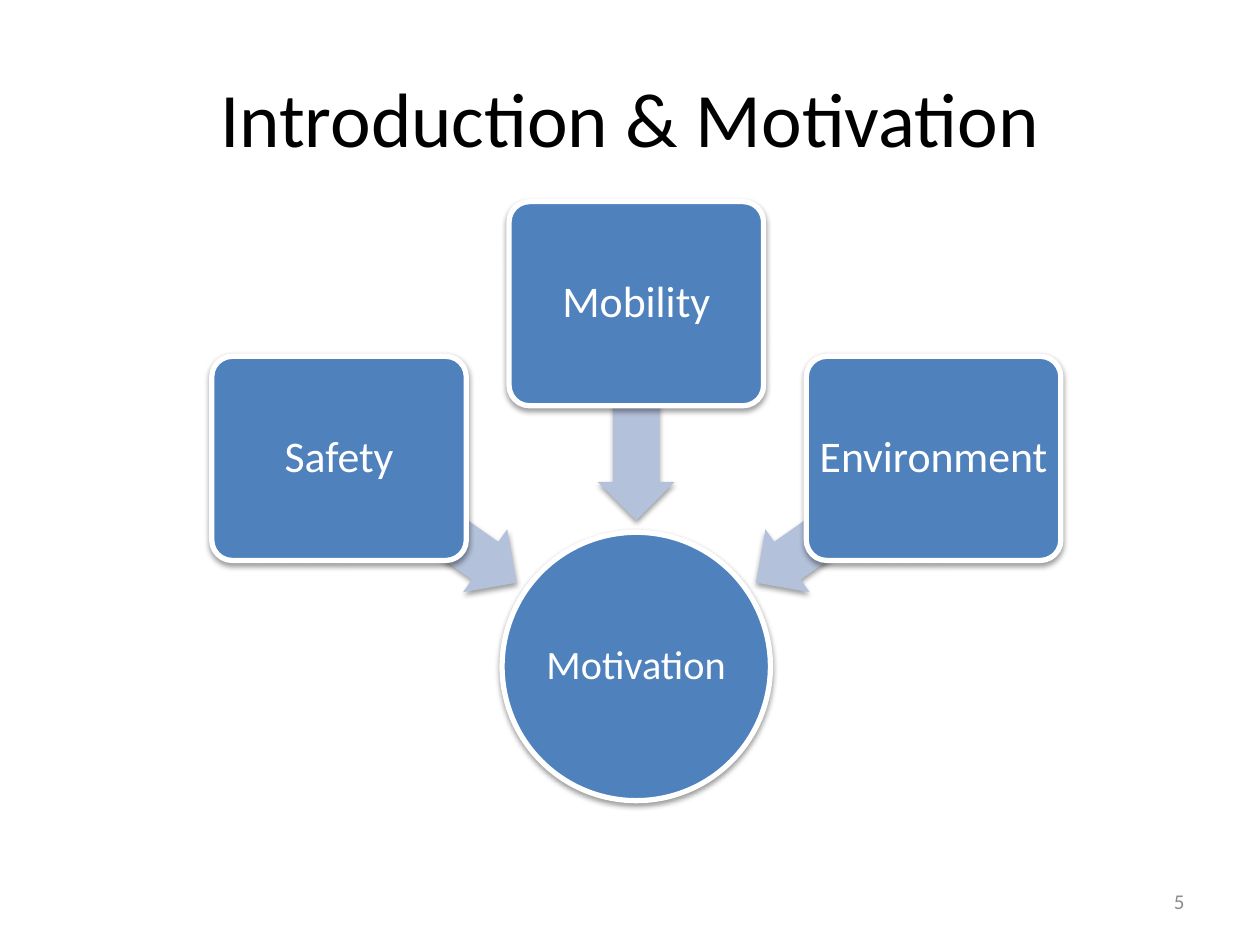
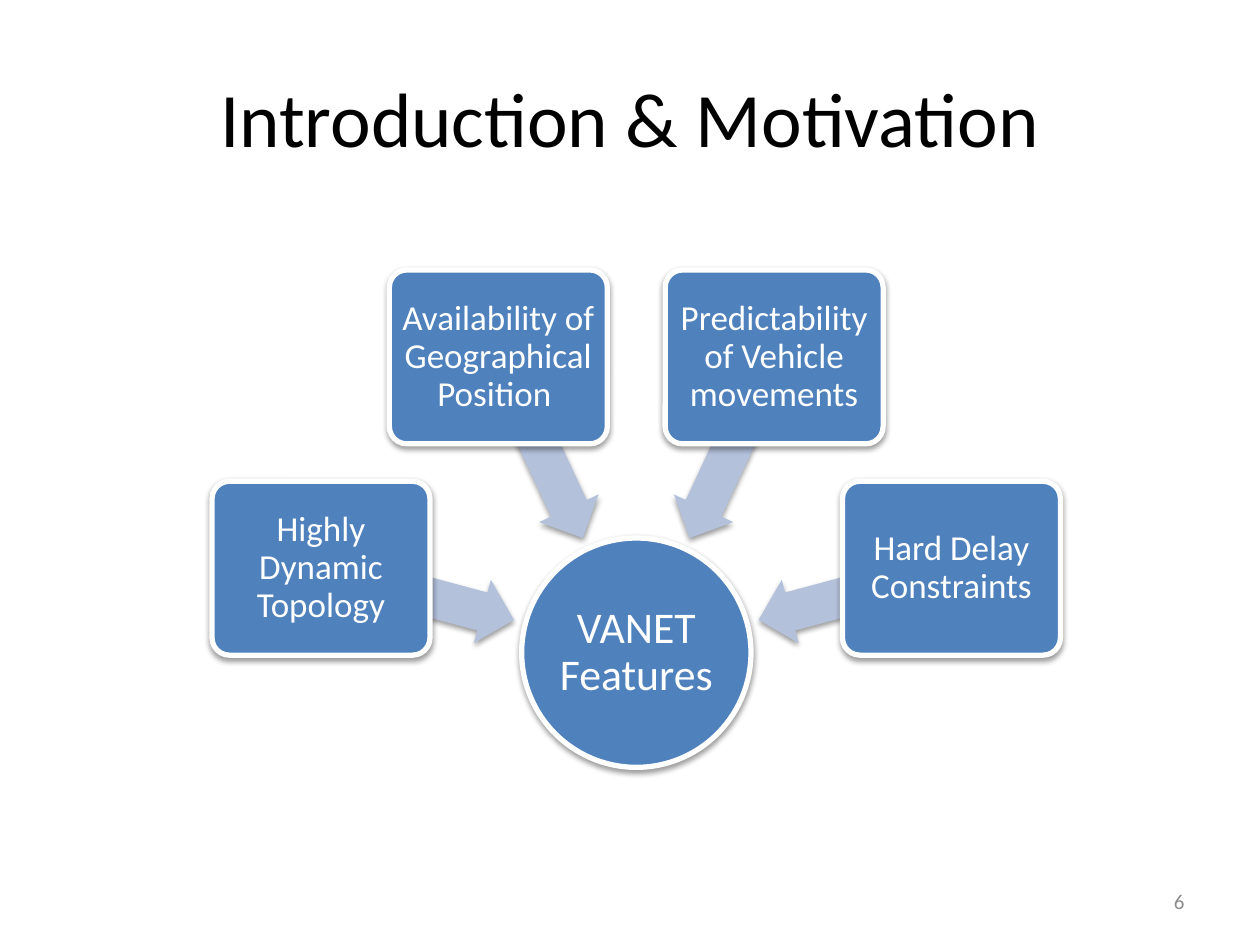
from dataclasses import dataclass
from math import cos, radians, sin

from lxml import etree
from pptx import Presentation
from pptx import util as u
from pptx.dml.color import RGBColor
from pptx.enum import shapes, text
from pptx.oxml.ns import qn

BLUE = RGBColor(0x4F, 0x81, 0xBD)
PALE = RGBColor(0xB3, 0xC1, 0xDB)
WHITE = RGBColor(0xFF, 0xFF, 0xFF)
BLACK = RGBColor(0, 0, 0)
GREY = RGBColor(0x8C, 0x8C, 0x8C)
FONT = "Calibri"
TITLE = "Introduction & Motivation"
KIND = shapes.MSO_SHAPE
ALIGN = text.PP_ALIGN
MID_X = 5.05


@dataclass
class Wheel:
    """A hub with boxes fanned out above it; lengths in inches."""
    page: int
    hub: str
    hub_size: float  # text size in points
    hub_y: float
    wide: float  # hub diameter
    labels: list[str]
    size: float  # text size in points
    box: tuple[float, float]
    inset: float
    reach: float  # hub centre to box centre
    arrow: tuple[float, float]
    gap: float  # hub centre to arrow centre
    step: float  # degrees between boxes


WHEELS = [
    Wheel(5, "Motivation", 23, 5.29, 2.13,
          ["Safety", "Mobility", "Environment"],
          25, (2.02, 1.62), 0.05, 2.88, (1.72, 0.61), 2.02, 55),
    Wheel(6, "VANET Features", 25, 5.18, 1.82,
          ["Highly Dynamic Topology", "Availability of Geographical Position ",
           "Predictability of Vehicle movements", "Hard Delay Constraints"],
          20, (1.73, 1.38), 0.04, 2.59, (1.59, 0.52), 1.8, 50),
]


def write(shape, words: str, *, size: float, color: RGBColor,
          align=ALIGN.CENTER, inset: float | None = None,
          lead: float = 1.0) -> None:
    """Fill a shape with one formatted, vertically centred paragraph."""
    frame = shape.text_frame
    frame.word_wrap = True
    frame.vertical_anchor = text.MSO_ANCHOR.MIDDLE
    if inset is not None:
        frame.margin_left = frame.margin_right = u.Inches(inset)
        frame.margin_top = frame.margin_bottom = u.Inches(inset)
    para = frame.paragraphs[0]
    para.alignment = align
    para.line_spacing = lead
    run = para.add_run()
    run.text = words
    run.font.name = FONT
    run.font.size = u.Pt(size)
    run.font.color.rgb = color


def label(slide, words: str, left: float, top: float, wide: float,
          high: float, **style) -> None:
    area = map(u.Inches, (left, top, wide, high))
    write(slide.shapes.add_textbox(*area), words, **style)


def shade(shape) -> None:
    """Give a shape a soft shadow straight below it."""
    shape.shadow.inherit = False
    effects = shape._element.spPr.find(qn("a:effectLst"))
    drop = etree.SubElement(effects, qn("a:outerShdw"), blurRad="40000",
                            dist="20000", dir="5400000", rotWithShape="0")
    color = etree.SubElement(drop, qn("a:srgbClr"), val="000000")
    etree.SubElement(color, qn("a:alpha"), val="38000")


def place(slide, kind, x: float, y: float, wide: float, high: float,
          fill: RGBColor, edge: bool = True):
    """Draw a shaded preset shape centred on x, y."""
    area = map(u.Inches, (x - wide / 2, y - high / 2, wide, high))
    shape = slide.shapes.add_shape(kind, *area)
    shape.fill.solid()
    shape.fill.fore_color.rgb = fill
    if edge:
        shape.line.color.rgb = WHITE
        shape.line.width = u.Pt(3)
    else:
        shape.line.fill.background()
    shade(shape)
    return shape


def draw(slide, wheel: Wheel) -> None:
    # Hub
    hub = place(slide, KIND.OVAL, MID_X, wheel.hub_y,
                wheel.wide, wheel.wide, BLUE)
    write(hub, wheel.hub, size=wheel.hub_size, color=WHITE,
          inset=0.02, lead=0.9)

    # Spokes, spread evenly about the vertical
    mid = (len(wheel.labels) - 1) / 2
    for i, words in enumerate(wheel.labels):
        angle = 270 + wheel.step * (i - mid)
        dx, dy = cos(radians(angle)), sin(radians(angle))

        arrow = place(slide, KIND.LEFT_ARROW, MID_X + wheel.gap * dx,
                      wheel.hub_y + wheel.gap * dy, *wheel.arrow, PALE,
                      edge=False)
        arrow.adjustments[0] = 0.6
        arrow.adjustments[1] = 0.5
        arrow.rotation = angle

        box = place(slide, KIND.ROUNDED_RECTANGLE, MID_X + wheel.reach * dx,
                    wheel.hub_y + wheel.reach * dy, *wheel.box, BLUE)
        box.adjustments[0] = 0.1
        write(box, words, size=wheel.size, color=WHITE,
              inset=wheel.inset, lead=0.9)


def main() -> None:
    deck = Presentation()
    deck.slide_width, deck.slide_height = u.Inches(10), u.Inches(7.5)
    for wheel in WHEELS:
        slide = deck.slides.add_slide(deck.slide_layouts[6])
        # Title and page number
        label(slide, TITLE, 0.5, 0.3, 9, 1.25, size=44, color=BLACK)
        label(slide, str(wheel.page), 7.17, 6.95, 2.33, 0.4,
              size=12, color=GREY, align=ALIGN.RIGHT)
        draw(slide, wheel)
    deck.save("out.pptx")


if __name__ == "__main__":
    main()
